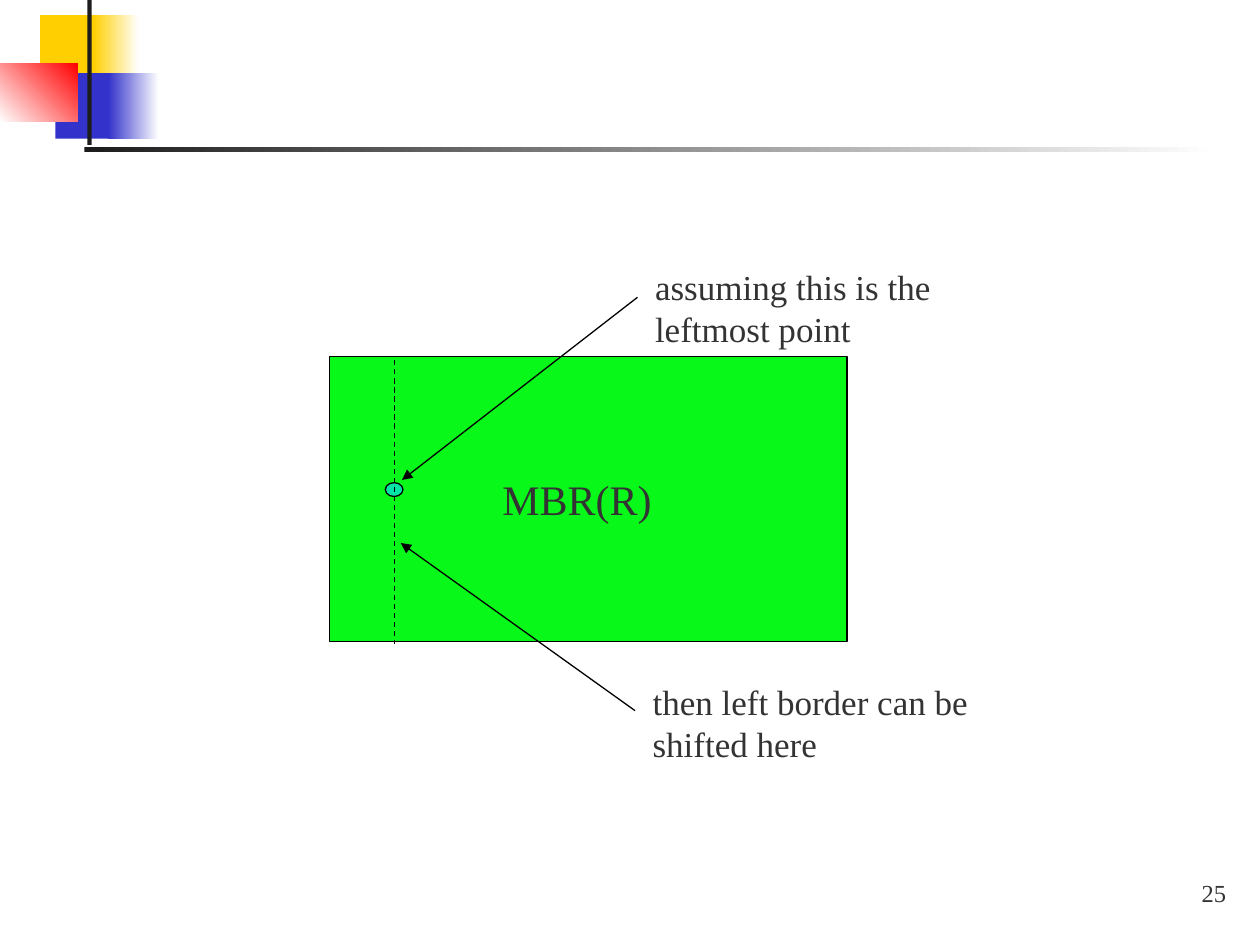
from lxml import etree
from pptx import Presentation
from pptx import util as u
from pptx.dml.color import RGBColor
from pptx.enum import dml, shapes, text
from pptx.oxml.ns import qn

FONT = "Times New Roman"
INK = "333333"
BLACK = "000000"
WHITE = "FFFFFF"
DARK = "1C1C1C"
YELLOW = "FFCF01"
BLUE = "3333CC"


def colour(value):
    return RGBColor.from_string(value)


def add_block(page, left, top, width, height, fill, outline=None,
              kind=shapes.MSO_SHAPE.RECTANGLE):
    """Add a solid shape, with a thin outline if one is given."""
    block = page.shapes.add_shape(
        kind, u.Pt(left), u.Pt(top), u.Pt(width), u.Pt(height))
    block.shadow.inherit = False
    block.fill.solid()
    block.fill.fore_color.rgb = colour(fill)
    if outline:
        block.line.color.rgb = colour(outline)
        block.line.width = u.Pt(0.75)
    else:
        block.line.fill.background()
    return block


def add_fade(page, left, top, width, height, start, end, angle=0):
    """Add a borderless rectangle that fades from start to end."""
    block = add_block(page, left, top, width, height, start)
    block.fill.gradient()
    block.fill.gradient_angle = angle
    for stop, value, position in zip(
            block.fill.gradient_stops, (start, end), (0, 1)):
        stop.color.rgb = colour(value)
        stop.position = position


def add_label(page, left, top, width, height, words, size,
              align=text.PP_ALIGN.LEFT, anchor=text.MSO_ANCHOR.TOP):
    box = page.shapes.add_textbox(
        u.Pt(left), u.Pt(top), u.Pt(width), u.Pt(height))
    frame = box.text_frame
    frame.word_wrap = True
    frame.vertical_anchor = anchor
    para = frame.paragraphs[0]
    para.alignment = align
    span = para.add_run()
    span.text = words
    span.font.name = FONT
    span.font.size = u.Pt(size)
    span.font.color.rgb = colour(INK)


def add_line(page, x1, y1, x2, y2, arrow=False, dashed=False):
    line = page.shapes.add_connector(
        shapes.MSO_CONNECTOR.STRAIGHT,
        u.Pt(x1), u.Pt(y1), u.Pt(x2), u.Pt(y2))
    line.line.color.rgb = colour(BLACK)
    line.line.width = u.Pt(0.75)
    if dashed:
        line.line.dash_style = dml.MSO_LINE.DASH
    if arrow:
        tail = etree.SubElement(line.line._get_or_add_ln(), qn("a:tailEnd"))
        tail.set("type", "triangle")
    etree.SubElement(line._element.spPr, qn("a:effectLst"))


def add_decoration(page):
    """Coloured squares and the two rules in the top left corner."""
    add_block(page, 23, 8.6, 34.6, 37.4, YELLOW)
    add_fade(page, 53.3, 8.6, 25.9, 37.4, YELLOW, WHITE)
    add_block(page, 31.7, 41.8, 33.1, 37.4, BLUE)
    add_fade(page, 61.9, 41.8, 28.8, 37.4, BLUE, WHITE)
    add_fade(page, 0, 36, 44.4, 33.6, WHITE, "FF0000", angle=45)
    add_block(page, 49.9, 0, 2.5, 82.8, DARK)
    add_fade(page, 48.2, 84.2, 648, 2.9, DARK, WHITE)


def main():
    deck = Presentation()
    deck.slide_width, deck.slide_height = u.Pt(720), u.Pt(540)
    page = deck.slides.add_slide(deck.slide_layouts[6])
    add_decoration(page)

    # Page number
    add_label(page, 599.8, 486, 108, 36, "25", 14,
              text.PP_ALIGN.RIGHT, text.MSO_ANCHOR.BOTTOM)

    # Bounding rectangle
    add_block(page, 188.2, 203.8, 295.9, 162.7, "08F819", BLACK)
    add_label(page, 280, 267.1, 112.3, 36, "MBR(R)", 24)

    # Leftmost point
    add_line(page, 364.3, 169.9, 229.7, 274.3, arrow=True)
    add_label(page, 367.2, 148.3, 200.2, 55.4,
              "assuming this is the leftmost point", 20)
    add_block(page, 220.2, 275.8, 10.1, 7.9, "00E4A8", BLACK,
              shapes.MSO_SHAPE.OVAL)

    # Shifted left border
    add_label(page, 365.8, 385.2, 200.2, 55.4,
              "then left border can be shifted here", 20)
    add_line(page, 225.4, 205.9, 225.4, 367.9, dashed=True)
    add_line(page, 362.9, 406.1, 229, 310.3, arrow=True)

    deck.save("out.pptx")


if __name__ == "__main__":
    main()
